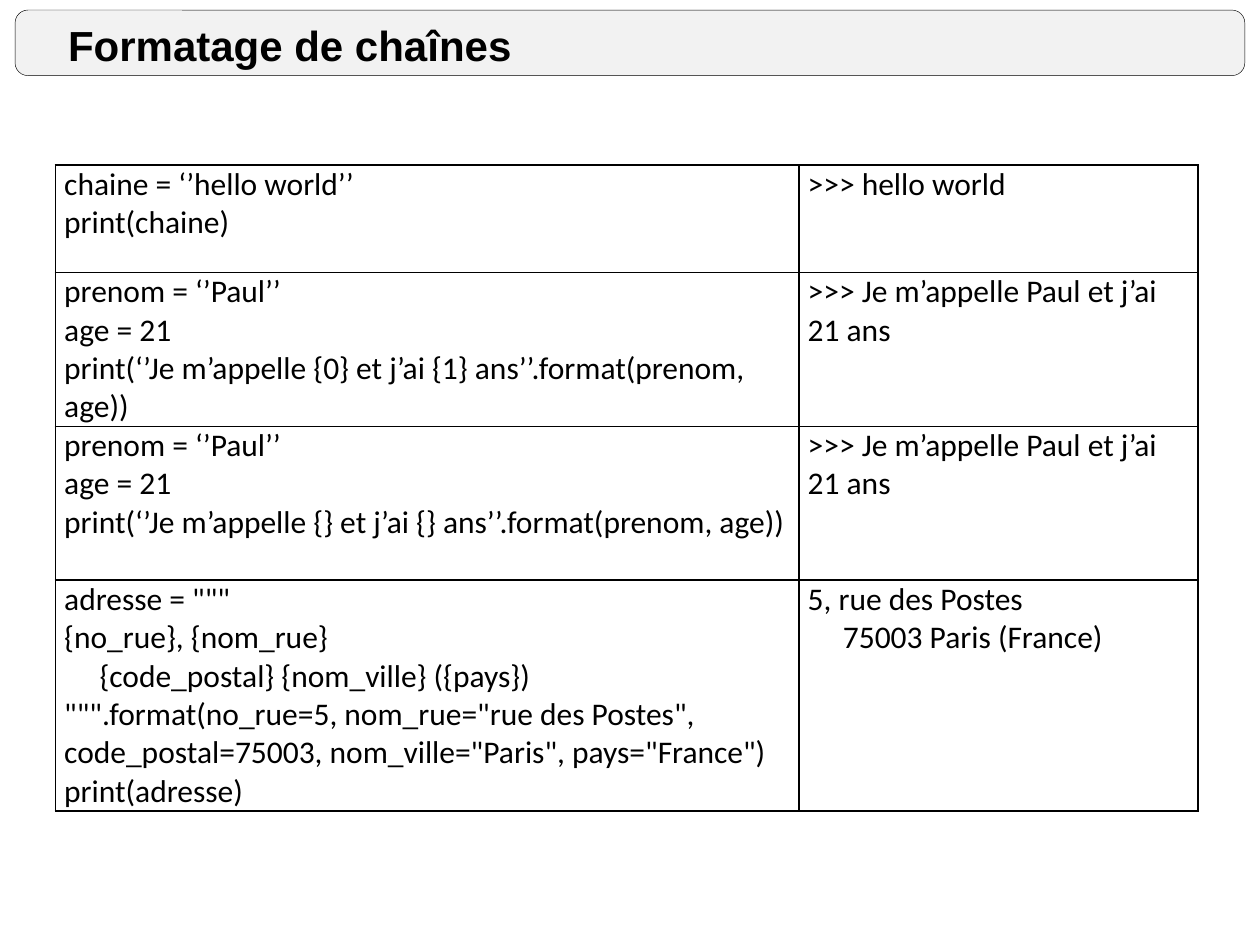
from dataclasses import dataclass

from lxml import etree
from pptx import Presentation, util as u
from pptx.dml.color import RGBColor
from pptx.enum import shapes, text
from pptx.oxml.ns import qn


@dataclass(frozen=True)
class Theme:
    ink: str = "000000"
    banner: str = "F2F2F2"
    title_font: str = "Arial"
    code_font: str = "Calibri"
    title_size: float = 24
    code_size: float = 18
    banner_line: float = 0.25
    grid_line: float = 1


@dataclass(frozen=True)
class Line:
    words: str
    indent: float = 0


@dataclass(frozen=True)
class Example:
    code: tuple[Line, ...]
    output: tuple[Line, ...]
    text_rows: int


THEME = Theme()
WIDTH, HEIGHT = 10, 7.5
LEFT = 0.44
COLUMNS = (5.9, 3.17)
TEXT_ROW = 0.305
STEP_IN = 0.28
GREETING = (Line(">>> Je m’appelle Paul et j’ai 21 ans"),)


def greeting_example(first: str, second: str) -> Example:
    """The same program, with numbered or automatic fields."""
    call = f"print(‘’Je m’appelle {first} et j’ai {second} ans’’.format(prenom, age))"
    return Example((Line("prenom = ‘’Paul’’"), Line("age = 21"), Line(call)), GREETING, 4)


EXAMPLES = (
    Example((Line("chaine = ‘’hello world’’"), Line("print(chaine)")),
            (Line(">>> hello world"),), 2.8),
    greeting_example("{0}", "{1}"),
    greeting_example("{}", "{}"),
    Example((Line('adresse = """'),
             Line("{no_rue}, {nom_rue}"),
             Line("{code_postal} {nom_ville} ({pays})", STEP_IN),
             Line('""".format(no_rue=5, nom_rue="rue des Postes", '
                  'code_postal=75003, nom_ville="Paris", pays="France")'),
             Line("print(adresse)")),
            (Line("5, rue des Postes"), Line("75003 Paris (France)", STEP_IN)), 6),
)


def set_font(paragraph, name: str, size: float, bold: bool = False) -> None:
    font = paragraph.font
    font.name, font.size, font.bold = name, u.Pt(size), bold
    font.color.rgb = RGBColor.from_string(THEME.ink)


def add_borders(cell) -> None:
    properties = cell._tc.get_or_add_tcPr()
    for position, side in enumerate(("lnL", "lnR", "lnT", "lnB")):
        border = etree.Element(qn(f"a:{side}"), w=str(u.Pt(THEME.grid_line)))
        fill = etree.SubElement(border, qn("a:solidFill"))
        etree.SubElement(fill, qn("a:srgbClr"), val=THEME.ink)
        properties.insert(position, border)


def fill_cell(cell, lines: tuple[Line, ...]) -> None:
    cell.margin_left = cell.margin_right = u.Inches(0.07)
    cell.margin_top = cell.margin_bottom = 0
    cell.fill.background()
    add_borders(cell)
    frame = cell.text_frame
    for number, line in enumerate(lines):
        paragraph = frame.add_paragraph() if number else frame.paragraphs[0]
        paragraph.text = line.words
        set_font(paragraph, THEME.code_font, THEME.code_size)
        if line.indent:
            paragraph._p.get_or_add_pPr().set("marL", str(u.Inches(line.indent)))


def add_heading(slide, words: str) -> None:
    """Place the title over a rounded banner."""
    banner = slide.shapes.add_shape(
        shapes.MSO_SHAPE.ROUNDED_RECTANGLE,
        u.Inches(0.12), u.Inches(0.08), u.Inches(WIDTH - 0.24), u.Inches(0.52))
    banner.adjustments[0] = 0.195
    banner.shadow.inherit = False
    banner.fill.solid()
    banner.fill.fore_color.rgb = RGBColor.from_string(THEME.banner)
    banner.line.color.rgb = RGBColor.from_string(THEME.ink)
    banner.line.width = u.Pt(THEME.banner_line)

    title = slide.shapes.title
    title.element.addprevious(banner.element)
    title.left, title.top = u.Inches(LEFT), u.Inches(0.09)
    title.width, title.height = u.Inches(WIDTH - 0.12 - LEFT), u.Inches(0.53)
    frame = title.text_frame
    frame.text = words
    frame.auto_size = text.MSO_AUTO_SIZE.NONE
    frame.vertical_anchor = text.MSO_ANCHOR.MIDDLE
    heading = frame.paragraphs[0]
    heading.alignment = text.PP_ALIGN.LEFT
    set_font(heading, THEME.title_font, THEME.title_size, bold=True)


def add_examples(slide, examples: tuple[Example, ...]) -> None:
    heights = [example.text_rows * TEXT_ROW for example in examples]
    table = slide.shapes.add_table(
        len(examples), len(COLUMNS), u.Inches(LEFT), u.Inches(1.31),
        u.Inches(sum(COLUMNS)), u.Inches(sum(heights))).table
    table.first_row = table.horz_banding = False
    for column, width in zip(table.columns, COLUMNS):
        column.width = u.Inches(width)
    for index, (example, height) in enumerate(zip(examples, heights)):
        table.rows[index].height = u.Inches(height)
        fill_cell(table.cell(index, 0), example.code)
        fill_cell(table.cell(index, 1), example.output)


def main() -> None:
    deck = Presentation()
    deck.slide_width, deck.slide_height = u.Inches(WIDTH), u.Inches(HEIGHT)
    slide = deck.slides.add_slide(deck.slide_layouts.get_by_name("Title Only"))
    add_heading(slide, "Formatage de chaînes")
    add_examples(slide, EXAMPLES)
    deck.save("out.pptx")


if __name__ == "__main__":
    main()
